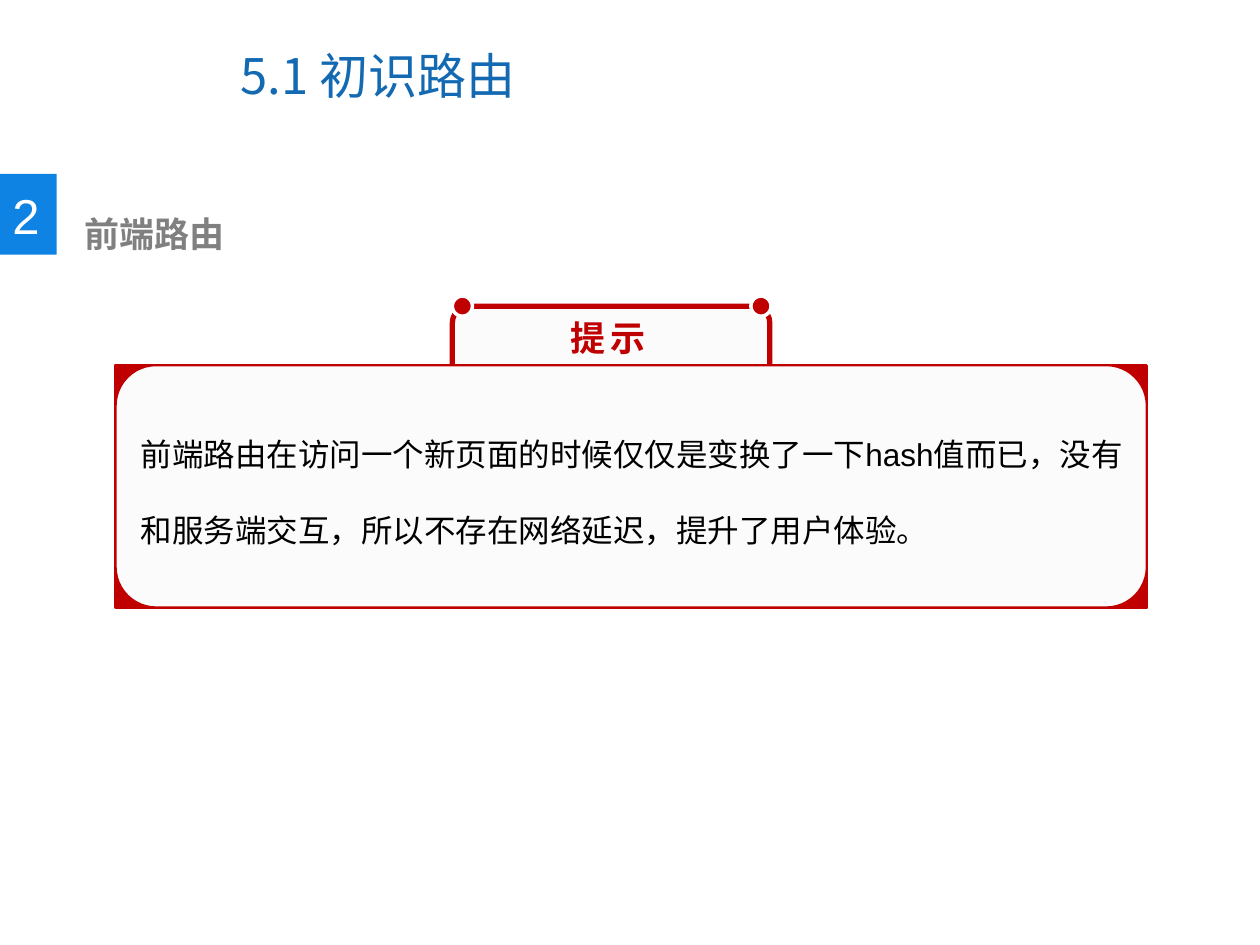
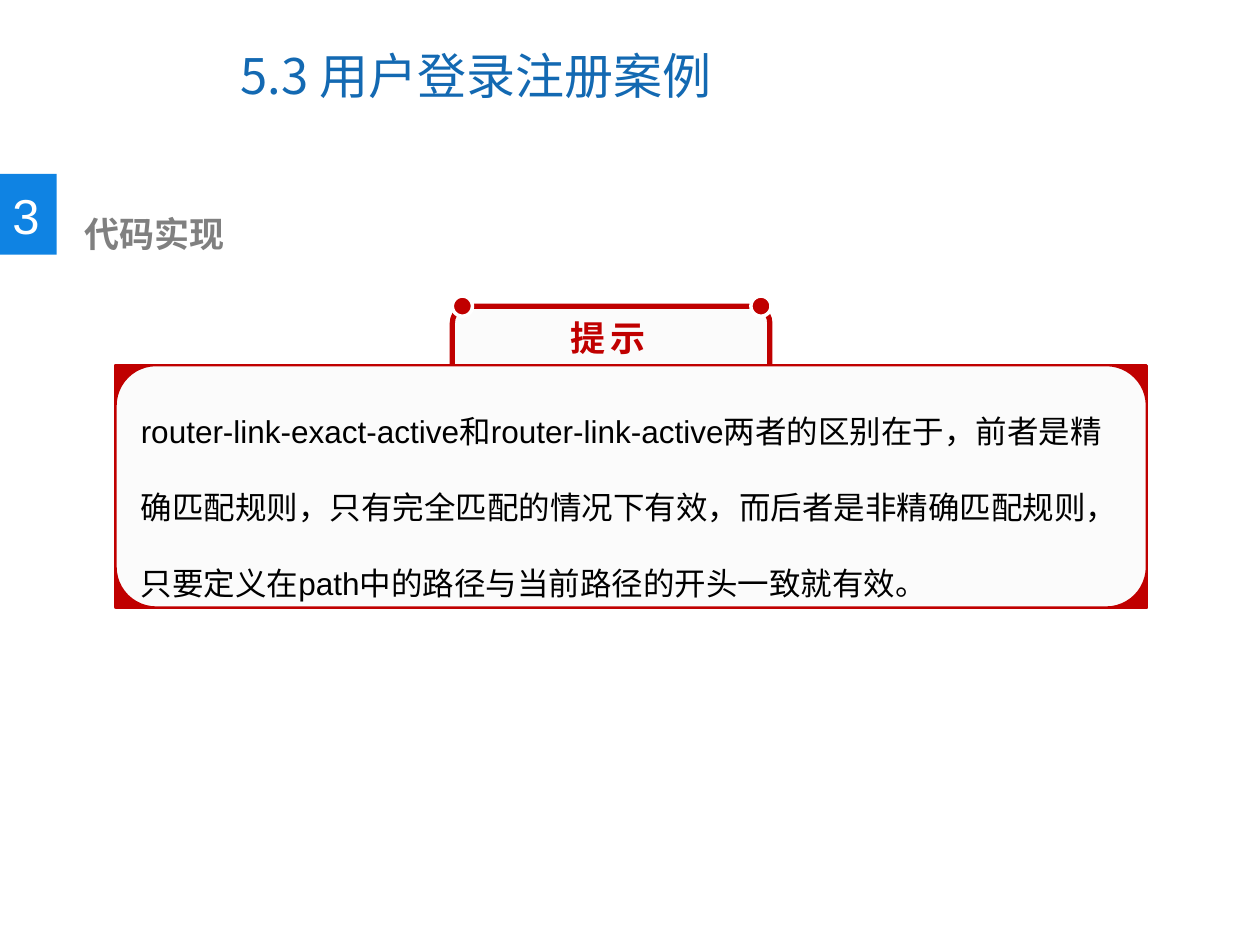
from dataclasses import dataclass

from lxml import etree
from pptx import Presentation
from pptx.dml.color import RGBColor
from pptx.enum.shapes import MSO_SHAPE
from pptx.enum.text import MSO_ANCHOR, MSO_AUTO_SIZE, PP_ALIGN
from pptx.oxml.ns import qn
from pptx.util import Pt

RECTANGLE = MSO_SHAPE.RECTANGLE
ROUNDED = MSO_SHAPE.ROUNDED_RECTANGLE
PROCESS = MSO_SHAPE.FLOWCHART_PROCESS
ALTERNATE_PROCESS = MSO_SHAPE.FLOWCHART_ALTERNATE_PROCESS
OVAL = MSO_SHAPE.OVAL
TOP, MIDDLE = MSO_ANCHOR.TOP, MSO_ANCHOR.MIDDLE
LEFT, CENTER = PP_ALIGN.LEFT, PP_ALIGN.CENTER
NO_AUTOFIT = MSO_AUTO_SIZE.NONE

CJK_FONT = "Noto Sans CJK SC"
LATIN_FONT = "Arial"
TITLE_BLUE, BADGE_BLUE = "1369B2", "0F83E3"
RED, PALE, GRAY, WHITE, BLACK = "C00000", "FBFBFB", "808080", "FFFFFF", "000000"
TITLE_ONLY_LAYOUT = 5


@dataclass(frozen=True)
class Box:
    left: float
    top: float
    width: float
    height: float

    def lengths(self) -> tuple:
        return Pt(self.left), Pt(self.top), Pt(self.width), Pt(self.height)


@dataclass(frozen=True)
class TextStyle:
    size: float
    color: str
    font: str = LATIN_FONT
    bold: bool = False
    align: PP_ALIGN = LEFT
    anchor: MSO_ANCHOR = MIDDLE
    line_height: float | None = None
    letter_spacing: float = 0


@dataclass(frozen=True)
class Figure:
    kind: MSO_SHAPE
    box: Box
    fill: str
    line: str | None = None
    line_width: float = 0


@dataclass(frozen=True)
class TipSlide:
    title: str
    number: str
    heading: str
    tip: str
    tip_top: float


TITLE_BOX = Box(130.3, 12.2, 371.5, 61.2)
NUMBER_BOX = Box(0, 102.2, 32.4, 41)
HEADING_BOX = Box(41.3, 117.4, 370, 31.7)
LABEL_BOX = Box(293.5, 177.1, 108, 31.7)
PANEL_BOX = Box(66.2, 208.8, 589, 138.2)

TITLE_STYLE = TextStyle(28, TITLE_BLUE, CJK_FONT)
NUMBER_STYLE = TextStyle(28, WHITE)
HEADING_STYLE = TextStyle(20, GRAY, bold=True)
LABEL_STYLE = TextStyle(20, RED, CJK_FONT, bold=True, align=CENTER, letter_spacing=3)
TIP_STYLE = TextStyle(18, BLACK, anchor=TOP, line_height=43.4)

BADGE = Figure(RECTANGLE, Box(0, 99.4, 32.4, 46.1), BADGE_BLUE)
TIP_FRAME = (
    Figure(ROUNDED, Box(258.5, 175, 181.4, 56.9), PALE, RED, 3),
    Figure(PROCESS, PANEL_BOX, RED, RED, 2),
    Figure(ALTERNATE_PROCESS, PANEL_BOX, PALE, RED, 1),
    *(Figure(OVAL, Box(left, 169.2, 11.5, 11.5), RED, WHITE, 2) for left in (258.5, 429.1)),
)

SLIDES = (
    TipSlide(
        "5.1 初识路由", "2", "前端路由",
        "前端路由在访问一个新页面的时候仅仅是变换了一下hash值而已，"
        "没有和服务端交互，所以不存在网络延迟，提升了用户体验。",
        223,
    ),
    TipSlide(
        "5.3 用户登录注册案例", "3", "代码实现",
        "router-link-exact-active和router-link-active两者的区别在于，"
        "前者是精确匹配规则，只有完全匹配的情况下有效，而后者是非精确匹配规则，"
        "只要定义在path中的路径与当前路径的开头一致就有效。",
        210.1,
    ),
)


def color(value: str) -> RGBColor:
    return RGBColor.from_string(value)


def write_text(shape, text: str, style: TextStyle, wrap: bool = True) -> None:
    text_frame = shape.text_frame
    text_frame.text = text
    text_frame.word_wrap = wrap
    text_frame.auto_size = NO_AUTOFIT
    text_frame.vertical_anchor = style.anchor
    paragraph = text_frame.paragraphs[0]
    paragraph.alignment = style.align
    if style.line_height:
        paragraph.line_spacing = Pt(style.line_height)
    for run in paragraph.runs:
        font = run.font
        font.name = style.font
        font.size = Pt(style.size)
        font.bold = style.bold
        font.color.rgb = color(style.color)
        properties = run._r.get_or_add_rPr()
        properties.set("lang", "zh-CN")
        if style.letter_spacing:
            properties.set("spc", str(int(style.letter_spacing * 100)))
        etree.SubElement(properties, qn("a:ea")).set("typeface", CJK_FONT)


def add_text(slide, box: Box, text: str, style: TextStyle, wrap: bool = True) -> None:
    write_text(slide.shapes.add_textbox(*box.lengths()), text, style, wrap)


def add_figure(slide, figure: Figure) -> None:
    shape = slide.shapes.add_shape(figure.kind, *figure.box.lengths())
    shape.shadow.inherit = False
    shape.fill.solid()
    shape.fill.fore_color.rgb = color(figure.fill)
    if figure.line:
        shape.line.color.rgb = color(figure.line)
        shape.line.width = Pt(figure.line_width)
    else:
        shape.line.fill.background()


def add_title(slide, text: str) -> None:
    title = slide.shapes.title
    title.left, title.top, title.width, title.height = TITLE_BOX.lengths()
    write_text(title, text, TITLE_STYLE)


def add_tip_slide(presentation, content: TipSlide) -> None:
    slide = presentation.slides.add_slide(presentation.slide_layouts[TITLE_ONLY_LAYOUT])
    add_title(slide, content.title)
    add_figure(slide, BADGE)
    add_text(slide, NUMBER_BOX, content.number, NUMBER_STYLE, wrap=False)
    add_text(slide, HEADING_BOX, content.heading, HEADING_STYLE)
    for figure in TIP_FRAME:
        add_figure(slide, figure)
    add_text(slide, LABEL_BOX, "提示", LABEL_STYLE)
    add_text(slide, Box(73.4, content.tip_top, 578.9, 131), content.tip, TIP_STYLE)


def main() -> None:
    presentation = Presentation()
    presentation.slide_width, presentation.slide_height = Pt(720), Pt(540)
    for content in SLIDES:
        add_tip_slide(presentation, content)
    presentation.save("out.pptx")


if __name__ == "__main__":
    main()
